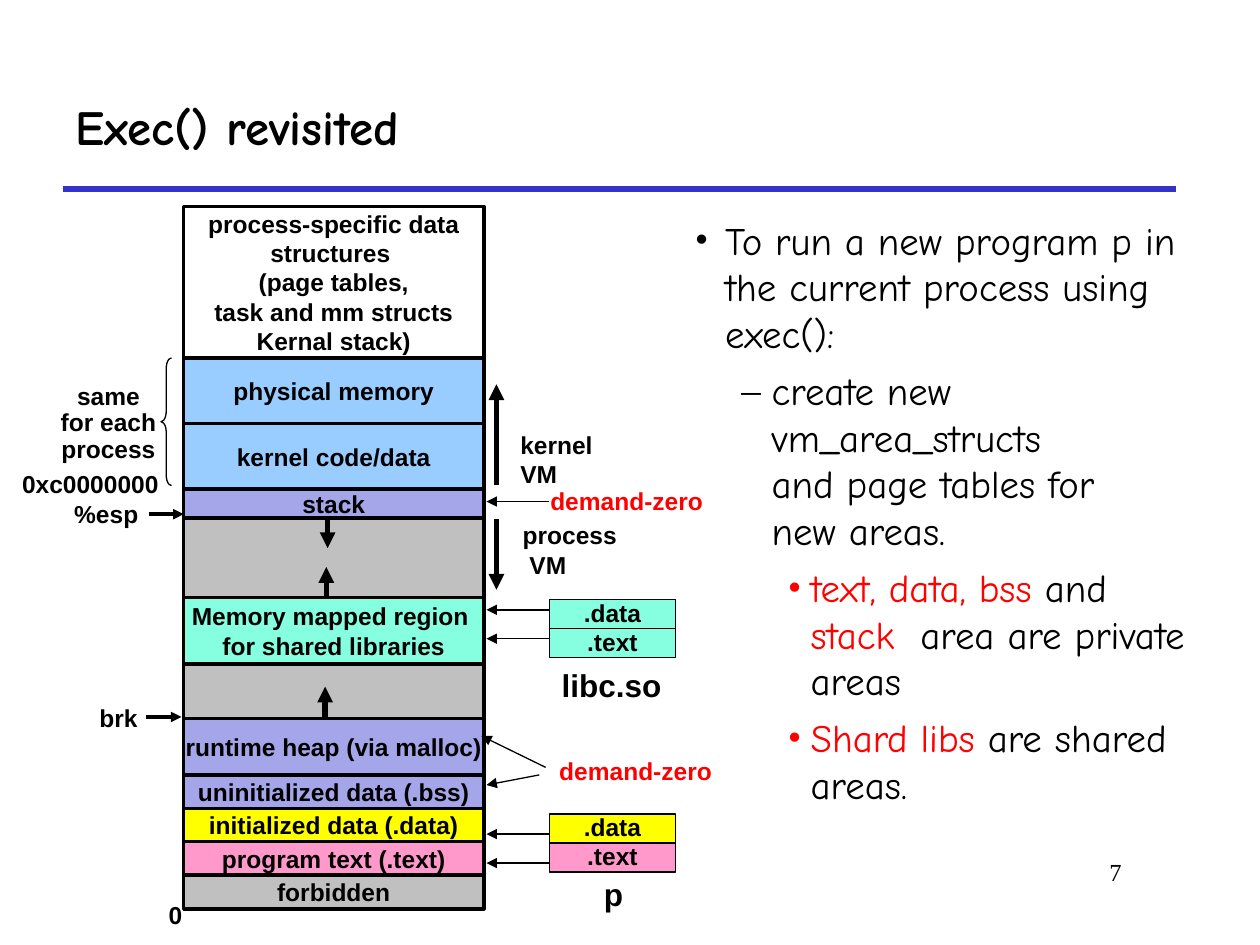
"""Build the slide on exec() and the memory areas of a process."""
from itertools import pairwise

from lxml.etree import SubElement
from pptx import Presentation
from pptx.dml.color import RGBColor
from pptx.enum.shapes import MSO_CONNECTOR, MSO_SHAPE
from pptx.enum.text import MSO_ANCHOR, MSO_AUTO_SIZE, PP_ALIGN
from pptx.oxml.ns import qn
from pptx.util import Pt

BLACK = RGBColor(0, 0, 0)
WHITE = RGBColor(255, 255, 255)
RED = RGBColor(255, 0, 0)
RULE = RGBColor(0x33, 0x33, 0xCC)
BLUE = RGBColor(0x99, 0xCC, 0xFF)
LILAC = RGBColor(0xA5, 0xA5, 0xE9)
GRAY = RGBColor(0xC0, 0xC0, 0xC0)
MINT = RGBColor(0x85, 0xFF, 0xE0)
GOLD = RGBColor(255, 255, 0)
PINK = RGBColor(0xFF, 0x99, 0xCC)

BOLD = {"name": "Arial", "size": Pt(14), "bold": True}
LARGE = {**BOLD, "size": Pt(18)}
TITLE = {"name": "Comic Neue", "size": Pt(28), "bold": True}
BODY = {"name": "Comic Neue", "size": Pt(22.2), "bold": False}
FOLIO = {"name": "Times New Roman", "size": Pt(14), "bold": False}

AREAS = [
    (118, WHITE, "process-specific data\nstructures \n(page tables,\n"
                 "task and mm structs\nKernal stack)"),
    (204.5, BLUE, "physical memory"),
    (242, BLUE, "kernel code/data"),
    (279.5, LILAC, "stack"),
    (296, GRAY, ""),
    (341.5, MINT, "Memory mapped region \nfor shared libraries"),
    (379.5, GRAY, ""),
    (410.5, LILAC, "runtime heap (via malloc)"),
    (443, LILAC, "uninitialized data (.bss)"),
    (462, GOLD, "initialized data (.data)"),
    (481, PINK, "program text (.text)"),
    (500, GRAY, "forbidden"),
]
FLOOR = 519.5

FILES = [(342.7, MINT, ".data"), (359.3, MINT, ".text"),
         (465.1, GOLD, ".data"), (481.7, PINK, ".text")]

LABELS = [
    (89.3, 510.5, 22, 24, "0", BOLD, BLACK, 1),
    (35.3, 281.5, 51, 24, "%esp", BOLD, BLACK, 1),
    (291.6, 293.8, 68, 41, "process\n VM", BOLD, BLACK, 1),
    (290.2, 242, 60, 41, "kernel\nVM", BOLD, BLACK, 1),
    (49.7, 398.2, 36, 24, "brk", BOLD, BLACK, 1),
    (5.5, 266.4, 93, 22, "0xc0000000", BOLD, BLACK, 0.9),
    (338, 499, 25, 27, "p", LARGE, BLACK, 0.9),
    (313.9, 379.5, 72, 27, "libc.so", LARGE, BLACK, 0.9),
    (312.5, 430.6, 102, 22, "demand-zero", BOLD, RED, 0.9),
    (307.4, 275.8, 102, 22, "demand-zero", BOLD, RED, 0.9),
]

ARROWS = [
    (185.8, 409.7, 185.8, 392.4, 3), (186.5, 341.3, 186.5, 324, 3),
    (187.2, 296, 187.2, 313.2, 3), (283.7, 296.6, 283.7, 337, 3),
    (283.7, 277.2, 283.7, 219.6, 3), (85, 293.8, 105, 293.8, 2),
    (83.5, 409.7, 103.7, 409.7, 2), (308.2, 442.8, 278, 448.6, 0.75),
    (311.8, 438.5, 275, 420.5, 0.75),
] + [(314, y, 278, y, 0.75) for y in (286.6, 348.5, 365, 476.6, 493.2)]

POINTS = [
    (17.3, -17.3, "•", BLACK, [("To run a new program p in the current "
                                "process using exec():", BLACK)]),
    (43.9, -17.3, "–", BLACK, [("create new vm_area_structs \vand page "
                                "tables for \vnew areas.", BLACK)]),
    (66.2, -13, "•", RED, [("text, data, bss ", RED), ("and ", BLACK),
                           ("stack", RED),
                           ("  area are private areas", BLACK)]),
    (66.2, -13, "•", RED, [("Shard libs ", RED),
                           ("are shared areas.", BLACK)]),
]


def style(font, look, color):
    """Apply a dict of format values and a colour to a font."""
    for key, value in look.items():
        setattr(font, key, value)
    font.color.rgb = color


def write(shape, text, look, color=BLACK, align=PP_ALIGN.LEFT, pitch=1,
          wrap=False, anchor=MSO_ANCHOR.TOP):
    """Fill a shape with evenly styled paragraphs."""
    frame = shape.text_frame
    frame.text = text
    frame.word_wrap = wrap
    frame.vertical_anchor = anchor
    for para in frame.paragraphs:
        para.alignment = align
        para.line_spacing = float(pitch)
        for run in para.runs:
            style(run.font, look, color)


def label(slide, x, y, w, h, *args, **kwargs):
    """Add a text box and write in it, fitted to the text unless it wraps."""
    box = slide.shapes.add_textbox(Pt(x), Pt(y), Pt(w), Pt(h))
    write(box, *args, **kwargs)
    if not box.text_frame.word_wrap:
        box.text_frame.auto_size = MSO_AUTO_SIZE.SHAPE_TO_FIT_TEXT


def block(slide, x, y, w, h, fill, text, width, pitch=1):
    """Add a filled, outlined rectangle with centred text."""
    box = slide.shapes.add_shape(MSO_SHAPE.RECTANGLE,
                                 Pt(x), Pt(y), Pt(w), Pt(h))
    box.shadow.inherit = False
    box.fill.solid()
    box.fill.fore_color.rgb = fill
    box.line.color.rgb = BLACK
    box.line.width = Pt(width)
    if text:
        write(box, text, BOLD, align=PP_ALIGN.CENTER, pitch=pitch,
              anchor=MSO_ANCHOR.MIDDLE)


def stroke(slide, x1, y1, x2, y2, width, color=BLACK, head=True):
    """Add a straight line, with an arrowhead at its end if asked."""
    line = slide.shapes.add_connector(MSO_CONNECTOR.STRAIGHT,
                                      Pt(x1), Pt(y1), Pt(x2), Pt(y2))
    line.line.color.rgb = color
    line.line.width = Pt(width)
    if head:
        SubElement(line.line._get_or_add_ln(), qn("a:tailEnd"),
                   type="triangle")
    SubElement(line._element.spPr, qn("a:effectLst"))


def brace(slide, x, y, w, h):
    """Add a thin left brace."""
    mark = slide.shapes.add_shape(MSO_SHAPE.LEFT_BRACE,
                                  Pt(x), Pt(y), Pt(w), Pt(h))
    mark.shadow.inherit = False
    mark.adjustments[0] = 1.0
    mark.fill.background()
    mark.line.color.rgb = BLACK
    mark.line.width = Pt(0.75)


def bullet(para, left, hang, char, color):
    """Give a paragraph a hanging bullet."""
    props = para._p.get_or_add_pPr()
    props.set("marL", str(Pt(left)))
    props.set("indent", str(Pt(hang)))
    tint = SubElement(props, qn("a:buClr"))
    SubElement(tint, qn("a:srgbClr"), val=str(color))
    SubElement(props, qn("a:buFont"), typeface="Times New Roman")
    SubElement(props, qn("a:buChar"), char=char)


def body(slide, x, y, w, h):
    """Add the bulleted text."""
    frame = slide.shapes.add_textbox(Pt(x), Pt(y), Pt(w), Pt(h)).text_frame
    frame.word_wrap = True
    for i, (left, hang, char, tint, runs) in enumerate(POINTS):
        para = frame.add_paragraph() if i else frame.paragraphs[0]
        bullet(para, left, hang, char, tint)
        if i:
            para.space_before = Pt(6)
        for text, color in runs:
            for j, part in enumerate(text.split("\v")):
                if j:
                    para.add_line_break()
                run = para.add_run()
                run.text = part
                style(run.font, BODY, color)


def main():
    """Build and save the slide."""
    deck = Presentation()
    deck.slide_width, deck.slide_height = Pt(720), Pt(540)
    slide = deck.slides.add_slide(deck.slide_layouts[6])
    stroke(slide, 36, 108, 672, 108, 3, RULE, head=False)
    label(slide, 36, 36, 636, 72, "Exec() revisited", TITLE, wrap=True,
          anchor=MSO_ANCHOR.MIDDLE)
    body(slide, 390, 120, 295.2, 366.5)
    label(slide, 546, 486, 102, 36, "7", FOLIO, align=PP_ALIGN.RIGHT,
          wrap=True)
    ends = [area[0] for area in AREAS] + [FLOOR]
    for (top, end), (_, fill, text) in zip(pairwise(ends), AREAS):
        block(slide, 105, top, 171.5, end - top, fill, text, 2)
    for top, fill, text in FILES:
        block(slide, 314, top, 72, 16.6, fill, text, 0.75, 0.9)
    brace(slide, 92, 204.5, 6, 73)
    label(slide, 26, 216, 72, 52.5, "same for each process", BOLD,
          align=PP_ALIGN.CENTER, pitch=0.9, wrap=True)
    for item in LABELS:
        x, y, w, h, text, look, color, pitch = item
        label(slide, x, y, w, h, text, look, color, pitch=pitch)
    for arrow in ARROWS:
        stroke(slide, *arrow)
    deck.save("out.pptx")


if __name__ == "__main__":
    main()
